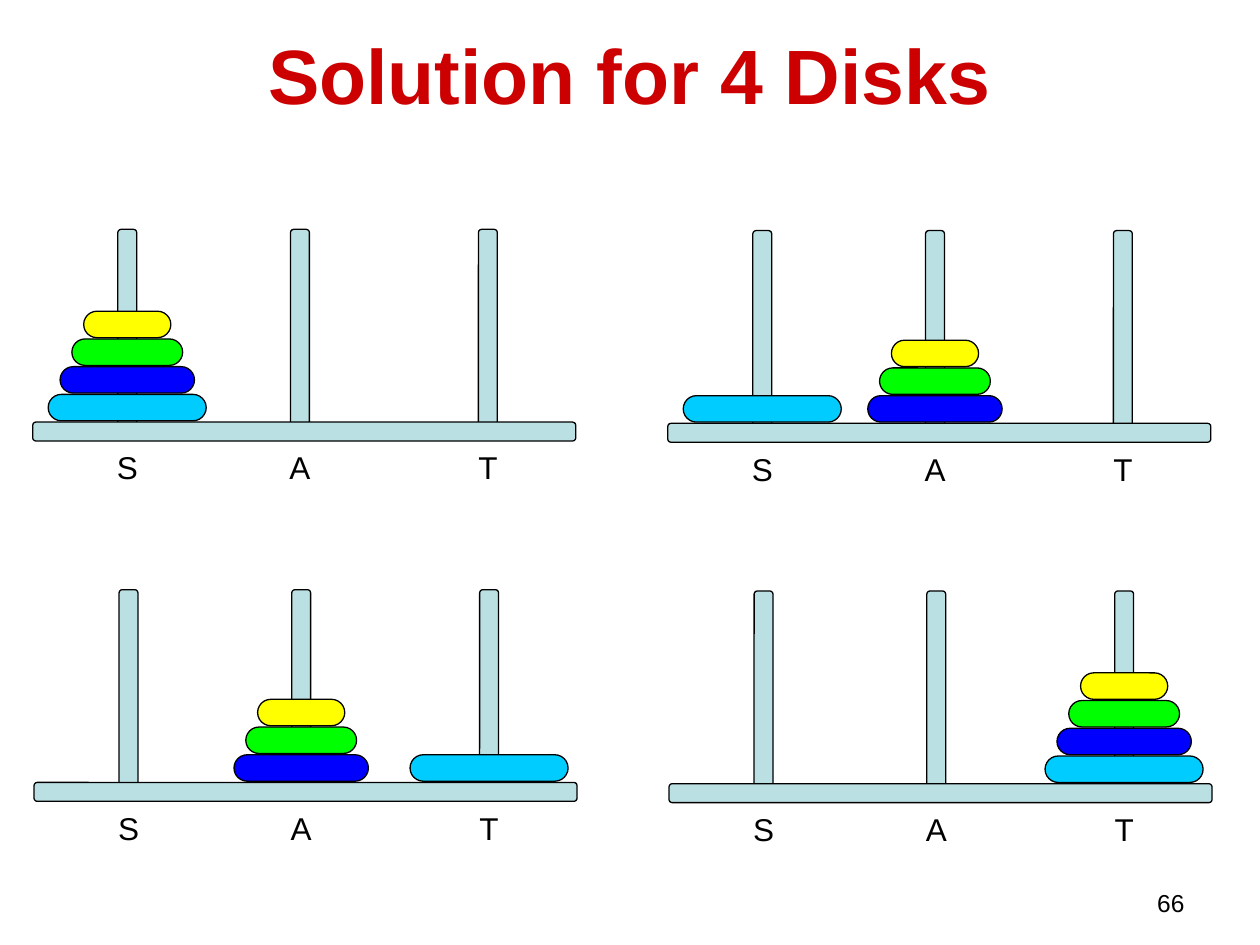
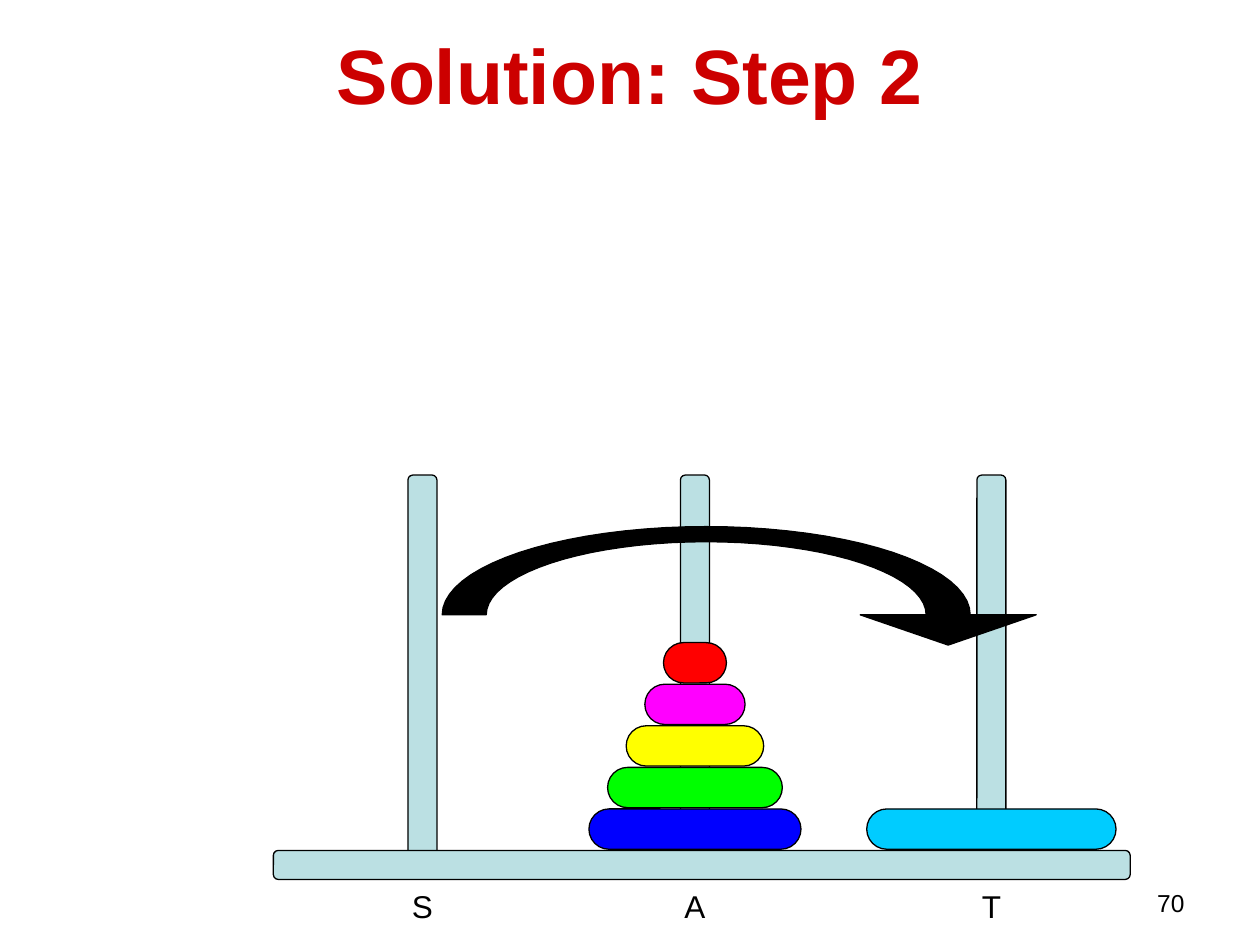
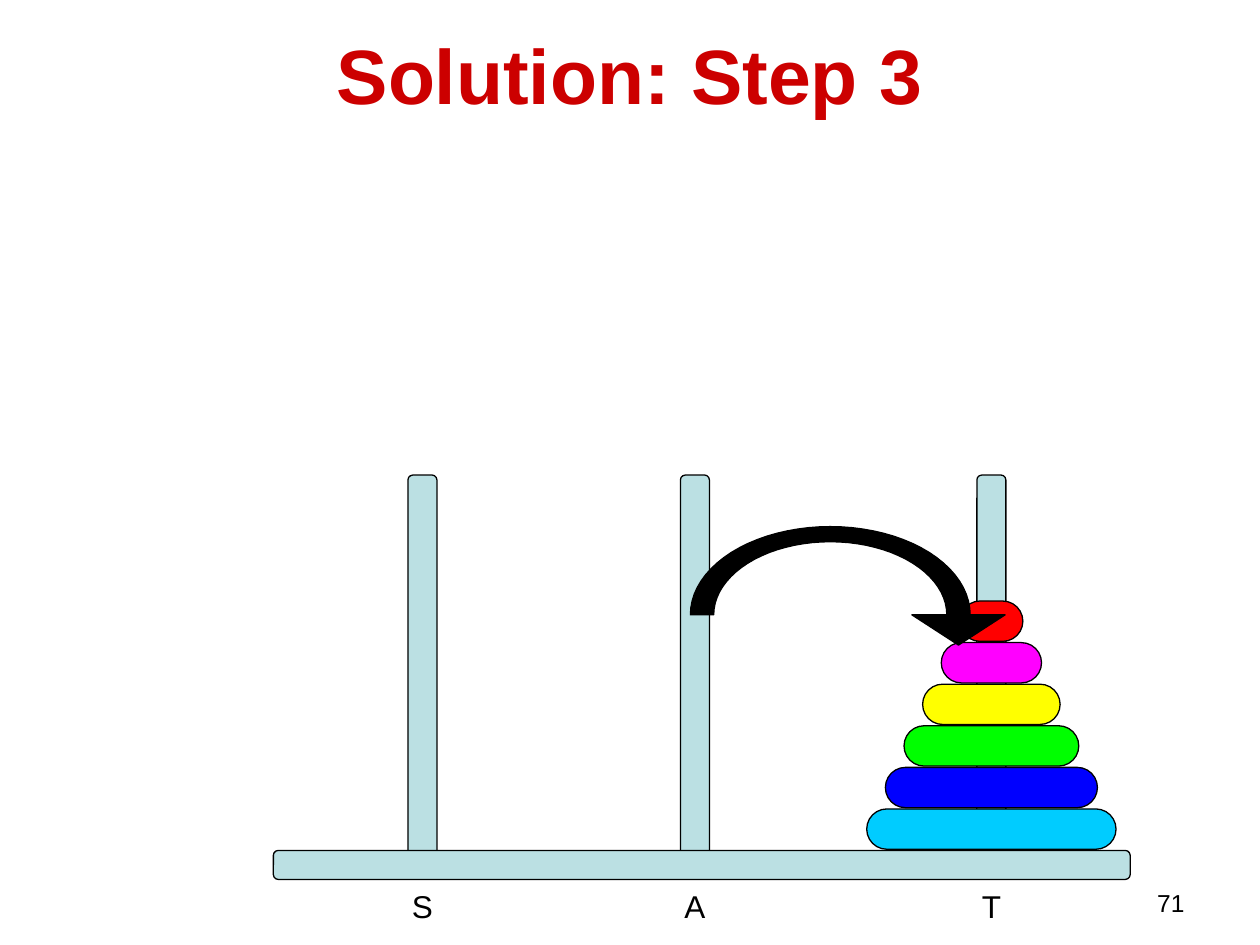
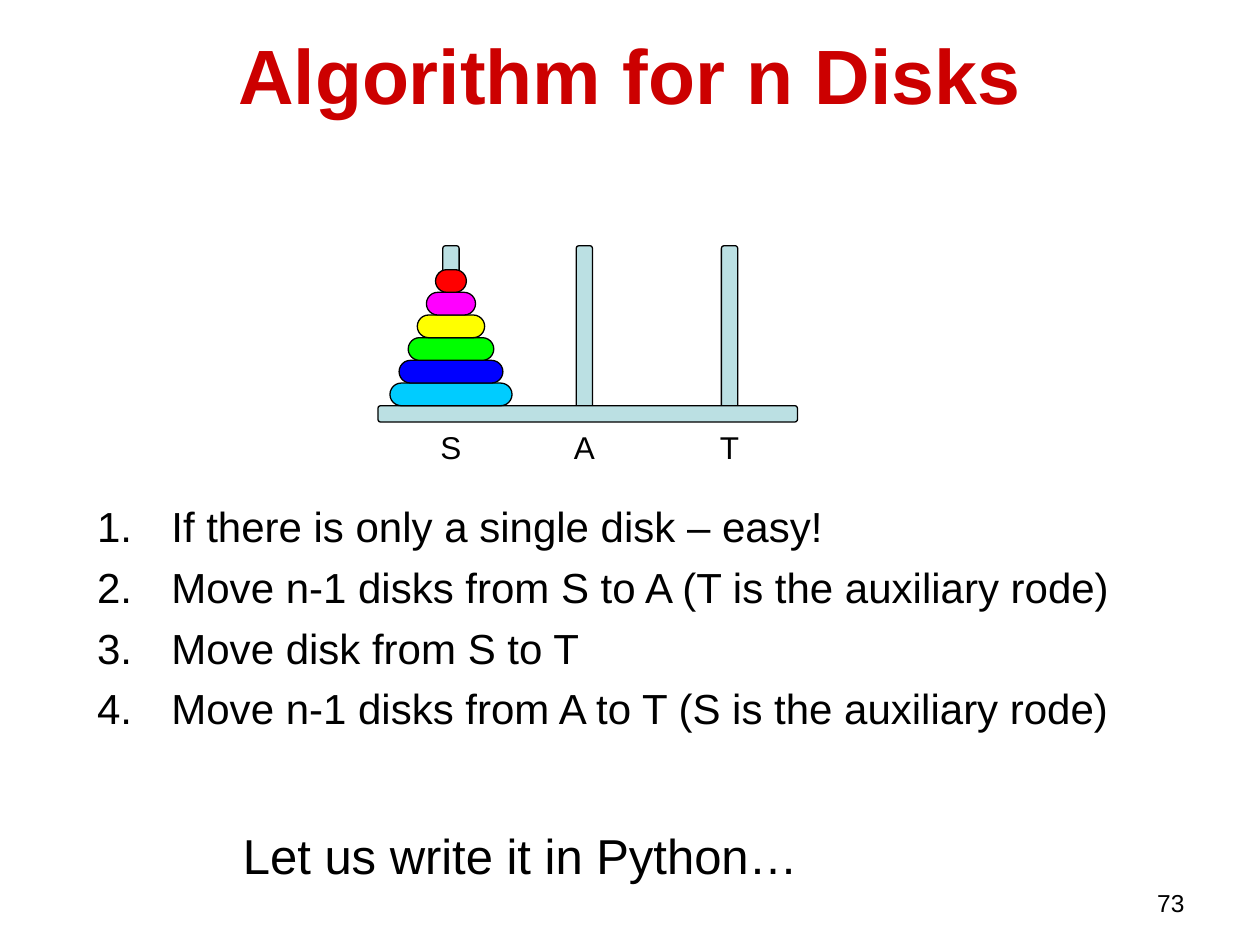
from math import cos, pi, sin
from pptx import Presentation
from pptx.dml.color import RGBColor
from pptx.enum.shapes import MSO_SHAPE as Shape
from pptx.enum.text import MSO_ANCHOR as Anchor, MSO_AUTO_SIZE as Fit, PP_ALIGN as Align
from pptx.oxml.ns import qn
from pptx.util import Inches, Pt

FONT = "Arial"
RED, BLACK, WOOD = "CC0000", "000000", "BBE0E3"
DISKS = ["00CCFF", "0000FF", "00FF00", "FFFF00", "FF00FF", "FF0000"]
RODS = [("S", 0.174), ("A", 0.492), ("T", 0.838)]
WIDEST, TAPER = 0.291, 0.0435

SMALL = dict(width=4.31, thick=0.15, rise=1.53, rod=1.63, disk=0.21, pitch=0.22,
             drop=0.16, label=(0.48, 0.27))
LARGE = dict(width=6.8, thick=0.23, rise=2.98, rod=3.12, disk=0.32, pitch=0.33,
             drop=0.24, label=(0.76, 0.4))
TINY = dict(width=3.33, thick=0.13, rise=1.27, rod=1.35, disk=0.18, pitch=0.18,
            drop=0.13, label=(0.37, 0.4))

SLIDES = [
    dict(title="Solution for 4 Disks", page=66, towers=[
        (SMALL, 0.26, 3.35, ("0123", "", "")),
        (SMALL, 0.27, 6.21, ("", "123", "0")),
        (SMALL, 5.3, 3.36, ("0", "123", "")),
        (SMALL, 5.31, 6.22, ("", "", "0123"))]),
    dict(title="Solution: Step 2", page=70, arrow=(3.51, 7.7),
         towers=[(LARGE, 2.17, 6.75, ("", "12345", "0"))]),
    dict(title="Solution: Step 3", page=71, arrow=(5.48, 7.7),
         towers=[(LARGE, 2.17, 6.75, ("", "", "012345"))]),
    dict(title="Algorithm for n Disks", page=73,
         towers=[(TINY, 3, 3.22, ("012345", "", ""))],
         steps=["If there is only a single disk – easy!",
                "Move n-1 disks from S to A (T is the auxiliary rode)",
                "Move disk from S to T",
                "Move n-1 disks from A to T (S is the auxiliary rode)"],
         close="Let us write it in Python…"),
]


def color(code):
    return RGBColor.from_string(code)


def place(shape, box):
    shape.left, shape.top, shape.width, shape.height = map(Inches, box)


def write(shape, lines, size=18, ink=BLACK, bold=False, align=Align.LEFT,
          anchor=Anchor.TOP, before=0, number=False):
    frame = shape.text_frame
    frame.text = "\n".join(lines)
    frame.word_wrap = True
    frame.auto_size = Fit.NONE
    frame.vertical_anchor = anchor
    for para in frame.paragraphs:
        para.alignment = align
        para.space_before = Pt(before)
        font = para.runs[0].font
        font.name, font.size, font.bold = FONT, Pt(size), bold
        font.color.rgb = color(ink)
        if number:
            props = para._p.get_or_add_pPr()
            props.set("marL", str(Inches(0.59)))
            props.set("indent", str(-Inches(0.59)))
            mark = props.makeelement(qn("a:buAutoNum"), {"type": "arabicPeriod"})
            props.append(mark)


def label(slide, text, box, **style):
    write(slide.shapes.add_textbox(*map(Inches, box)), [text], **style)


def paint(shape, fill):
    shape.shadow.inherit = False
    shape.fill.solid()
    shape.fill.fore_color.rgb = color(fill)
    shape.line.color.rgb = color(BLACK)
    shape.line.width = Pt(0.75)


def block(slide, box, fill, bend, turn=0):
    shape = slide.shapes.add_shape(Shape.ROUNDED_RECTANGLE, *map(Inches, box))
    shape.adjustments[0] = bend
    shape.rotation = turn
    paint(shape, fill)


def tower(slide, kind, left, base, stacks):
    width, thick, rod = kind["width"], kind["thick"], kind["rod"]
    mids = [left + width * part for _, part in RODS]
    for mid in mids:
        top = base - kind["rise"] + (rod - thick) / 2
        block(slide, (mid - rod / 2, top, rod, thick), WOOD, 0.167, 270)
    block(slide, (left, base, width, thick), WOOD, 0.167)
    for mid, stack in zip(mids, stacks):
        for level, disk in enumerate(map(int, stack), 1):
            span = width * (WIDEST - TAPER * disk)
            box = (mid - span / 2, base - level * kind["pitch"], span, kind["disk"])
            block(slide, box, DISKS[disk], 0.5)
    wide, high = kind["label"]
    for mid, (name, _) in zip(mids, RODS):
        label(slide, name, (mid - wide / 2, base + kind["drop"], wide, high),
              align=Align.CENTER)


def arch(mid, reach, foot, rise, count=40):
    turns = [pi * step / count for step in range(count + 1)]
    return [(mid - reach * cos(turn), foot - rise * sin(turn)) for turn in turns]


def arrow(slide, left, right, foot=4.88):
    span, mid = right - left, (left + right) / 2
    band, wing = span / 12, span / 6
    tip = right - band / 2
    outer = arch(mid, span / 2, foot, 0.7)
    inner = arch(mid, span / 2 - band, foot, 0.58)[::-1]
    head = [(tip + wing, foot), (tip, foot + 0.24), (tip - wing, foot)]
    start, *rest = [(Inches(x), Inches(y)) for x, y in outer + head + inner]
    pen = slide.shapes.build_freeform(*start)
    pen.add_line_segments(rest, close=True)
    paint(pen.convert_to_shape(), BLACK)


deck = Presentation()
deck.slide_width, deck.slide_height = Inches(10), Inches(7.5)
for item in SLIDES:
    steps = item.get("steps")
    slide = deck.slides.add_slide(deck.slide_layouts[1 if steps else 5])
    title = slide.shapes.title
    place(title, (0.5, 0, 9, 1.17))
    write(title, [item["title"]], size=44, ink=RED, bold=True,
          align=Align.CENTER, anchor=Anchor.MIDDLE)
    label(slide, str(item["page"]), (7.17, 7, 2.33, 0.25), size=14, align=Align.RIGHT)
    for spec in item["towers"]:
        tower(slide, *spec)
    if "arrow" in item:
        arrow(slide, *item["arrow"])
    if steps:
        body = slide.placeholders[1]
        place(body, (0.67, 3.92, 8.92, 2.17))
        write(body, steps, size=24, before=6, number=True)
        label(slide, item["close"], (1.83, 6.5, 5.17, 0.57), size=28)
deck.save("out.pptx")
